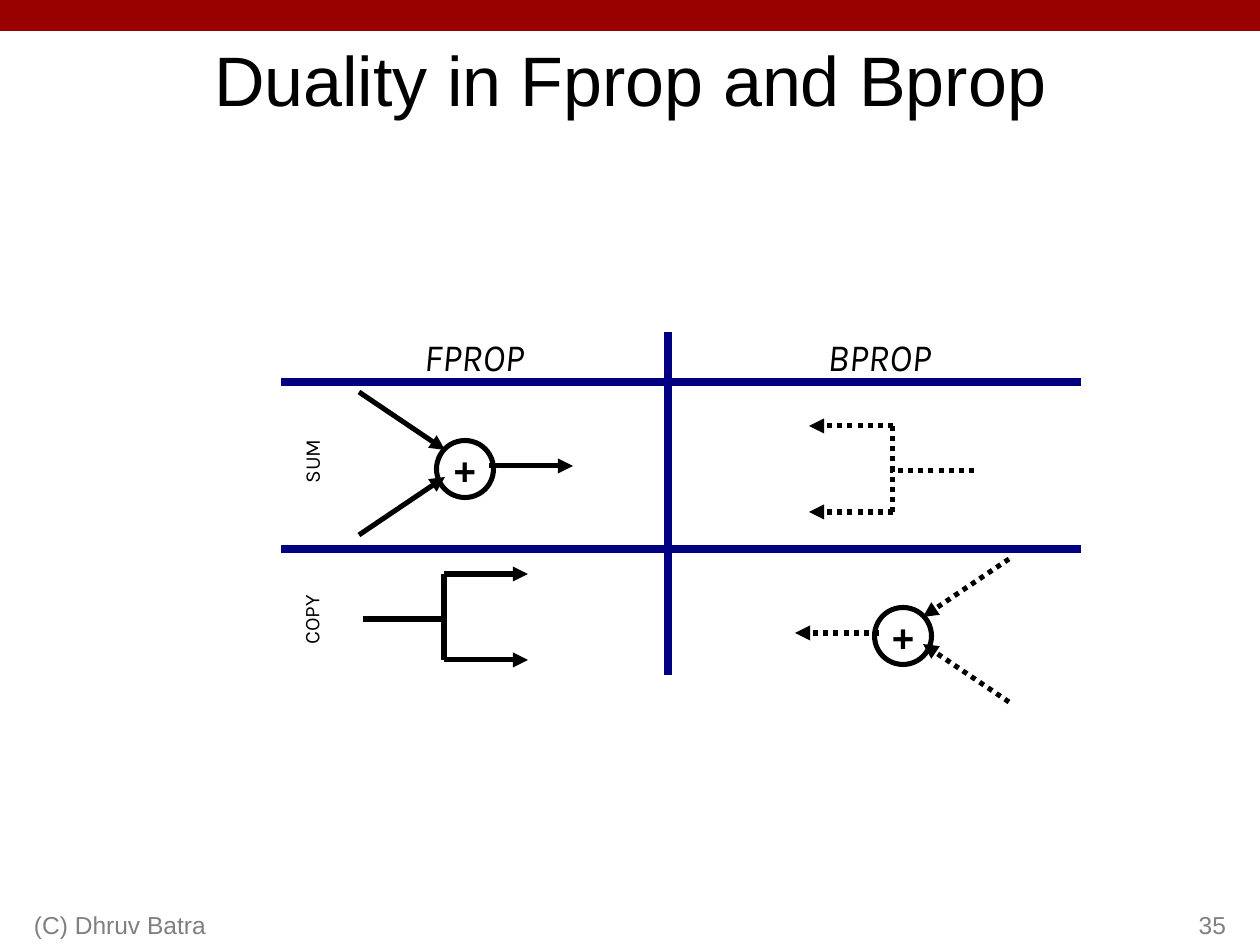
from lxml.etree import SubElement
from pptx import Presentation
from pptx.dml.color import RGBColor
from pptx.enum.dml import MSO_LINE
from pptx.enum.shapes import MSO_CONNECTOR, MSO_SHAPE
from pptx.enum.text import MSO_ANCHOR, PP_ALIGN
from pptx.oxml.ns import qn
from pptx.util import Pt

SCALE = 914400 / 126  # EMU per px
BLACK, GRAY, NAVY, RED = "000000", "808080", "000080", "990000"
STROKE, RULE = 2.89, 4.31
LABEL_INSETS = (11, 8, 11, 5)


def px(length):
    return round(length * SCALE)


def color(hex_value):
    return RGBColor.from_string(hex_value)


def write(shape, text, size, font="Arial", fill=BLACK, align=PP_ALIGN.CENTER,
          anchor=MSO_ANCHOR.TOP, bold=False, italic=False, wrap=True, insets=(13, 6, 13, 6)):
    frame = shape.text_frame
    frame.word_wrap = wrap
    frame.vertical_anchor = anchor
    frame.margin_left, frame.margin_top, frame.margin_right, frame.margin_bottom = map(px, insets)
    paragraph = frame.paragraphs[0]
    paragraph.alignment = align
    run = paragraph.add_run()
    run.text = text
    run.font.name, run.font.size = font, Pt(size)
    run.font.bold, run.font.italic = bold, italic
    run.font.color.rgb = color(fill)


def add_label(slide, box, text, size, rotation=0, **text_format):
    label = slide.shapes.add_textbox(*map(px, box))
    label.rotation = rotation
    write(label, text, size, **text_format)


def add_line(slide, start, end, stroke=BLACK, width=STROKE, dotted=False, arrow=False):
    line = slide.shapes.add_connector(MSO_CONNECTOR.STRAIGHT, *map(px, (*start, *end)))
    line.line.color.rgb = color(stroke)
    line.line.width = Pt(width)
    if dotted:
        line.line.dash_style = MSO_LINE.ROUND_DOT
    if arrow:
        SubElement(line.line._get_or_add_ln(), qn("a:tailEnd"), type="triangle")
    SubElement(line._element.spPr, qn("a:effectLst"))


def make_placer(left, top, width, mirrored):
    """Map points inside a box to the slide, flipped left to right if mirrored."""
    def place(x, y):
        return left + (width - x if mirrored else x), top + y
    return place


def add_sum_node(slide, left, top, backward=False):
    """Two arrows into a plus node, one arrow out, in a box of 214 by 143."""
    place = make_placer(left, top, 214, backward)
    center_x, center_y = place(106, 77)
    diameter = 57
    node = slide.shapes.add_shape(
        MSO_SHAPE.OVAL, px(center_x - diameter / 2), px(center_y - diameter / 2),
        px(diameter), px(diameter))
    node.shadow.inherit = False
    node.fill.background()
    node.line.color.rgb = color(BLACK)
    node.line.width = Pt(STROKE)
    write(node, "+", 22, bold=True, wrap=False, anchor=MSO_ANCHOR.MIDDLE,
          insets=(14, 10, 14, 8))
    for start, end in (((0, 0), (86, 58)), ((0, 143), (86, 85)), ((130, 74), (214, 74))):
        add_line(slide, place(*start), place(*end), dotted=backward, arrow=True)


def add_copy_fork(slide, left, top, backward=False):
    """One line in, split into two arrows out, in a box of 165 by 86."""
    place = make_placer(left, top, 165, backward)
    for y in (0, 86):
        add_line(slide, place(81, y), place(165, y), dotted=backward, arrow=True)
    add_line(slide, place(81, 0), place(81, 86), dotted=backward)
    add_line(slide, place(0, 45), place(84, 45), dotted=backward)


def add_grid(slide, left, top, width, height):
    """Rules with column and row headings."""
    for y in (50, 217):
        add_line(slide, (left, top + y), (left + width, top + y), NAVY, RULE)
    middle = left + 387
    add_line(slide, (middle, top + height), (middle, top), NAVY, RULE)
    for x, heading in ((106, "FPROP"), (511, "BPROP")):
        add_label(slide, (left + x, top - 7, 174, 60), heading, 22,
                  font="Karla", italic=True, insets=LABEL_INSETS)
    for x, y, height, heading in ((-26, 108, 43, "SUM"), (-10, 250, 76, "COPY")):
        add_label(slide, (left + x, top + y, 115, height), heading, 12,
                  rotation=270, font="Karla", insets=LABEL_INSETS)


def add_frame(slide, width, height):
    """Top bar, title and footer."""
    bar = slide.shapes.add_shape(MSO_SHAPE.RECTANGLE, 0, 0, px(width), px(31))
    bar.shadow.inherit = False
    bar.fill.solid()
    bar.fill.fore_color.rgb = color(RED)
    bar.line.fill.background()
    title = slide.shapes.title
    title.left, title.top, title.width, title.height = map(px, (94, 31, width - 188, 95))
    write(title, "Duality in Fprop and Bprop", 40, anchor=MSO_ANCHOR.MIDDLE)
    footer_top = height - 63
    add_label(slide, (21, footer_top, 399, 63), "(C) Dhruv Batra", 14, fill=GRAY,
              align=PP_ALIGN.LEFT, anchor=MSO_ANCHOR.BOTTOM)
    add_label(slide, (width - 283, footer_top, 262, 63), "35", 14, fill=GRAY,
              align=PP_ALIGN.RIGHT, anchor=MSO_ANCHOR.BOTTOM)


def main():
    width, height = 1260, 945
    deck = Presentation()
    deck.slide_width, deck.slide_height = px(width), px(height)
    slide = deck.slides.add_slide(deck.slide_layouts[5])
    add_frame(slide, width, height)
    # Summing forward becomes copying backward, and the reverse
    add_sum_node(slide, 359, 392)
    add_copy_fork(slide, 809, 426, backward=True)
    add_copy_fork(slide, 363, 574)
    add_sum_node(slide, 795, 559, backward=True)
    add_grid(slide, 281, 332, 800, 343)
    deck.save("out.pptx")


if __name__ == "__main__":
    main()
